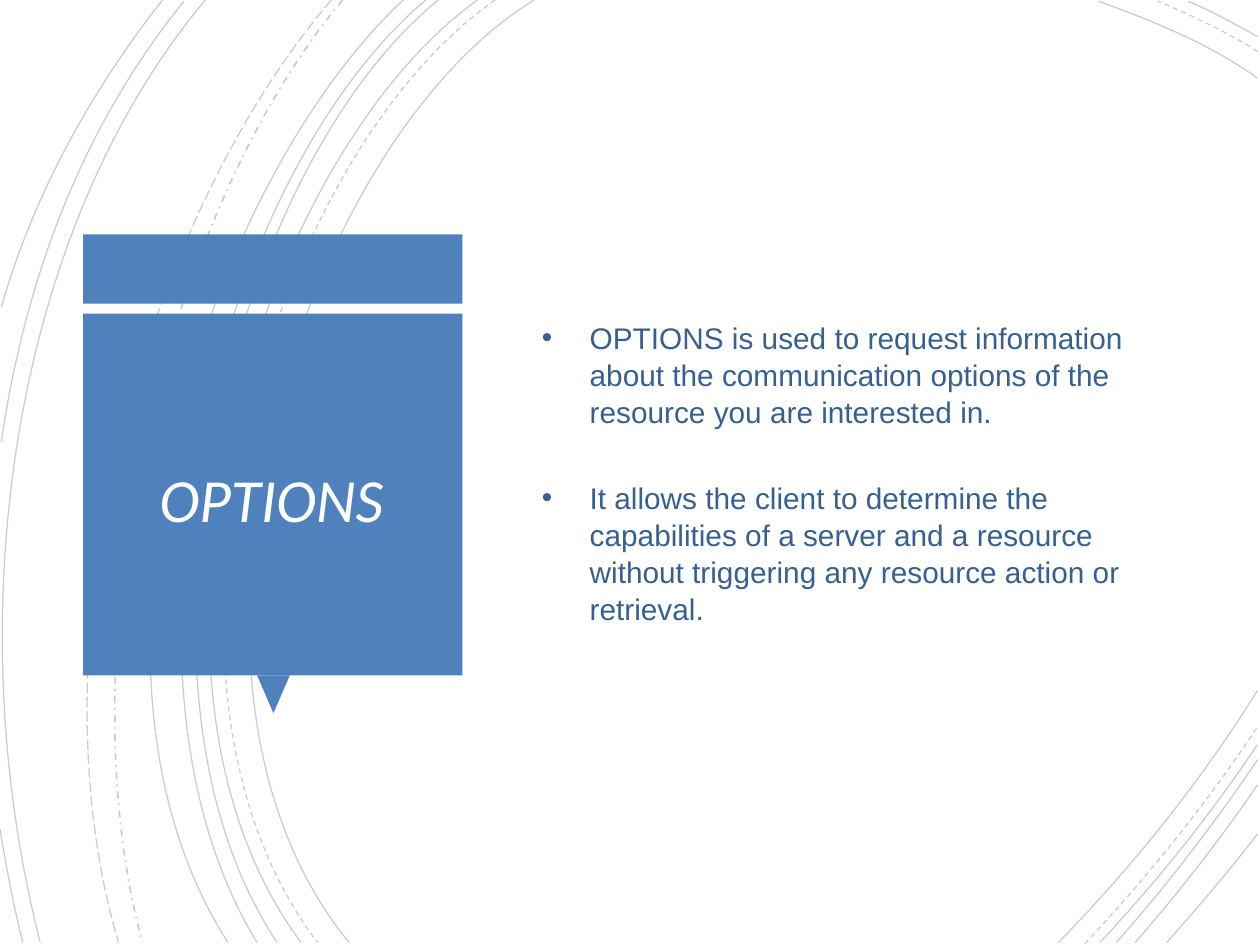
"""Build the OPTIONS slide: faint arcs, a speech block title and two bullets."""
from dataclasses import dataclass

from pptx import Presentation
from pptx.dml.color import RGBColor
from pptx.enum.dml import MSO_LINE
from pptx.enum.shapes import MSO_SHAPE
from pptx.enum.text import MSO_ANCHOR, MSO_AUTO_SIZE, PP_ALIGN
from pptx.oxml.ns import qn
from pptx.oxml.xmlchemy import OxmlElement
from pptx.shapes.group import GroupShape
from pptx.util import Cm, Length, Pt

BLACK = RGBColor(0x00, 0x00, 0x00)
WHITE = RGBColor(0xFF, 0xFF, 0xFF)
BLOCK_BLUE = RGBColor(0x4F, 0x81, 0xBD)
TEXT_BLUE = RGBColor(0x37, 0x60, 0x92)
ARC_OPACITY = "20000"

TITLE_FORMAT = {"name": "Calibri", "size": Pt(35), "italic": True}
BODY_FORMAT = {"name": "Arial", "size": Pt(17)}
BULLETS = [
    "OPTIONS is used to request information about the communication "
    "options of the resource you are interested in.",
    "It allows the client to determine the capabilities of a server and a "
    "resource without triggering any resource action or retrieval.",
]


@dataclass
class Arc:
    """A cubic curve: start, two control points and end, in inches."""
    points: list[tuple[float, float]]
    dash: MSO_LINE = MSO_LINE.SOLID
    width: float = 0.75


@dataclass
class Block:
    """A filled preset shape with its frame in inches."""
    kind: MSO_SHAPE
    frame: tuple[float, float, float, float]
    rotation: float = 0


ARCS = [
    Arc([(4.24, 0), (2.36, 1.15), (1.07, 5.4), (2.77, 7.48)]),
    Arc([(9.98, 0.62), (9.59, 0.34), (9.13, 0.16), (8.72, 0.01)]),
    Arc([(8.4, 7.48), (8.97, 6.9), (9.52, 6.22), (9.98, 5.48)]),
    Arc([(3.93, 0), (2.13, 1.25), (0.92, 5.37), (2.52, 7.48)], MSO_LINE.DASH),
    Arc([(9.98, 0.41), (9.73, 0.25), (9.45, 0.12), (9.19, 0.01)], MSO_LINE.DASH),
    Arc([(8.61, 7.49), (9.09, 6.98), (9.56, 6.4), (9.98, 5.77)], MSO_LINE.DASH),
    Arc([(3.79, 0), (2.02, 1.27), (0.82, 5.37), (2.39, 7.48)]),
    Arc([(9.98, 0.29), (9.8, 0.19), (9.62, 0.09), (9.43, 0.01)]),
    Arc([(8.73, 7.48), (9.17, 7.01), (9.6, 6.48), (9.98, 5.91)]),
    Arc([(3.48, 0), (1.83, 1.33), (0.82, 5.41), (2.2, 7.48)]),
    Arc([(8.86, 7.48), (9.25, 7.04), (9.63, 6.55), (9.98, 6.03)]),
    Arc([(3.38, 0), (1.73, 1.38), (0.73, 5.33), (2.04, 7.48)]),
    Arc([(9.01, 7.48), (9.35, 7.09), (9.68, 6.67), (9.98, 6.23)]),
    Arc([(3.2, 0), (1.63, 1.47), (0.4, 5.29), (1.81, 7.48)]),
    Arc([(9.26, 7.48), (9.5, 7.21), (9.75, 6.92), (9.98, 6.62)]),
    Arc([(2.72, 0), (1.32, 1.66), (0.49, 5.09), (1.13, 7.48)], MSO_LINE.DASH_DOT, 1),
    Arc([(2.63, 0), (1.18, 1.69), (0.21, 4.99), (0.94, 7.48)], MSO_LINE.LONG_DASH),
    Arc([(1.63, 0), (0.08, 1.85), (-0.34, 4.9), (0.32, 7.48)]),
    Arc([(1.46, 0.01), (0.69, 0.96), (0.21, 2.14), (0.01, 3.51)]),
    Arc([(0, 6.58), (0.05, 6.89), (0.11, 7.19), (0.18, 7.48)]),
    Arc([(1.29, 0), (0.75, 0.69), (0.28, 1.5), (0.01, 2.44)]),
]
BLOCKS = [
    Block(MSO_SHAPE.RECTANGLE, (0.66, 1.86, 3.01, 0.55)),
    Block(MSO_SHAPE.ISOSCELES_TRIANGLE, (2.04, 5.36, 0.26, 0.3), 180),
    Block(MSO_SHAPE.RECTANGLE, (0.66, 2.49, 3.01, 2.87)),
]


def length(inches: float) -> Length:
    """Convert inches to a centimetre-based length."""
    return Cm(inches * 2.54)


def draw_arc(group: GroupShape, arc: Arc) -> None:
    """Draw one see-through open curve."""
    start, *others = [(length(x), length(y)) for x, y in arc.points]
    builder = group.shapes.build_freeform(*start)
    builder.add_line_segments(others, close=False)
    shape = builder.convert_to_shape()
    segments = list(shape._element.iter(qn("a:lnTo")))
    curve = OxmlElement("a:cubicBezTo")
    segments[0].addprevious(curve)
    for segment in segments:
        curve.append(segment[0])
        segment.getparent().remove(segment)
    shape.shadow.inherit = False
    shape.fill.background()
    shape.line.color.rgb = BLACK
    shape.line.width = Pt(arc.width)
    shape.line.dash_style = arc.dash
    alpha = OxmlElement("a:alpha")
    alpha.set("val", ARC_OPACITY)
    next(shape._element.iter(qn("a:srgbClr"))).append(alpha)


def draw_block(group: GroupShape, block: Block) -> None:
    """Draw one solid block without outline."""
    shape = group.shapes.add_shape(block.kind, *map(length, block.frame))
    shape.rotation = block.rotation
    shape.shadow.inherit = False
    shape.fill.solid()
    shape.fill.fore_color.rgb = BLOCK_BLUE
    shape.line.fill.background()


def place(box, frame: tuple[float, float, float, float]) -> None:
    """Move a placeholder to its frame, in front, with centred text."""
    for name, value in zip(("left", "top", "width", "height"), frame):
        setattr(box, name, length(value))
    box.text_frame.word_wrap = True
    box.text_frame.auto_size = MSO_AUTO_SIZE.NONE
    box.text_frame.vertical_anchor = MSO_ANCHOR.MIDDLE
    box._element.getparent().append(box._element)


def write(para, text: str, formats: dict, color: RGBColor) -> None:
    """Add one formatted span to a paragraph."""
    span = para.add_run()
    span.text = text
    for name, value in formats.items():
        setattr(span.font, name, value)
    span.font.color.rgb = color


def add_bullet(para) -> None:
    """Give a paragraph a round bullet and a hanging indent."""
    properties = para._p.get_or_add_pPr()
    properties.set("marL", str(length(0.38)))
    properties.set("indent", str(-length(0.38)))
    bullet = OxmlElement("a:buChar")
    bullet.set("char", "•")
    properties.append(bullet)


def main() -> None:
    """Assemble and save the deck."""
    deck = Presentation()
    deck.slide_width, deck.slide_height = Cm(25.4), Cm(19.05)
    page = deck.slides.add_slide(deck.slide_layouts[1])

    arcs = page.shapes.add_group_shape()
    for arc in ARCS:
        draw_arc(arcs, arc)
    blocks = page.shapes.add_group_shape()
    for block in BLOCKS:
        draw_block(blocks, block)

    title = page.shapes.title
    place(title, (0.74, 2.64, 2.83, 2.62))
    heading = title.text_frame.paragraphs[0]
    heading.alignment = PP_ALIGN.CENTER
    write(heading, "OPTIONS", TITLE_FORMAT, WHITE)

    body = page.placeholders[1]
    place(body, (4.2, 0.88, 5.15, 5.74))
    for index, text in enumerate(BULLETS):
        para = body.text_frame.add_paragraph() if index else body.text_frame.paragraphs[0]
        add_bullet(para)
        para.line_spacing = 1.04
        para.space_before = Pt(27.7 if index else 0)
        write(para, text, BODY_FORMAT, TEXT_BLUE)

    deck.save("out.pptx")


if __name__ == "__main__":
    main()
